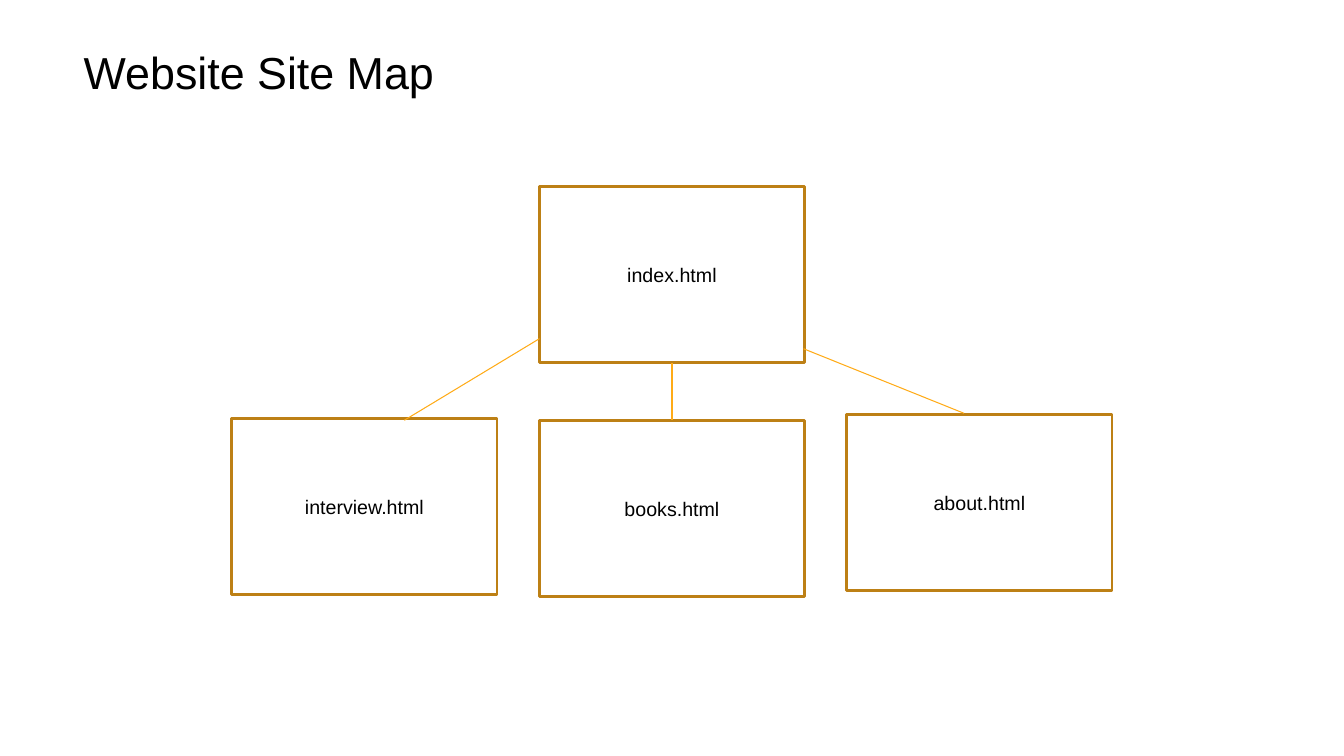
from pptx import Presentation
from pptx.dml.color import RGBColor
from pptx.enum.shapes import MSO_CONNECTOR as Link, MSO_SHAPE as Form
from pptx.enum.text import MSO_ANCHOR as Anchor, PP_ALIGN as Align
from pptx.oxml.ns import qn
from pptx.util import Inches, Pt
from lxml.etree import SubElement

BLACK = RGBColor(0x00, 0x00, 0x00)
WHITE = RGBColor(0xFF, 0xFF, 0xFF)
BROWN = RGBColor(0xBD, 0x80, 0x15)
AMBER = RGBColor(0xFF, 0xAB, 0x17)


class Map:
    font = "Arial"
    wide, high = 2.63, 1.75

    def __init__(self, slide):
        self.slide = slide

    def label(self, frame, text, size, align):
        frame.text = text
        frame.word_wrap = True
        frame.vertical_anchor = Anchor.MIDDLE
        line = frame.paragraphs[0]
        line.alignment = align
        font = line.runs[0].font
        font.name, font.size = self.font, Pt(size)
        font.color.rgb = BLACK

    def title(self, text, left, top, width, height):
        head = self.slide.shapes.title
        head.left, head.top = Inches(left), Inches(top)
        head.width, head.height = Inches(width), Inches(height)
        self.label(head.text_frame, text, 32, Align.LEFT)

    def page(self, name, left, top):
        box = self.slide.shapes.add_shape(
            Form.RECTANGLE, Inches(left), Inches(top),
            Inches(self.wide), Inches(self.high))
        box.shadow.inherit = False
        box.fill.solid()
        box.fill.fore_color.rgb = WHITE
        box.line.color.rgb = BROWN
        box.line.width = Pt(2)
        self.label(box.text_frame, name, 14, Align.CENTER)
        return box

    def link(self, start=(0, 0), end=(0, 0)):
        line = self.slide.shapes.add_connector(
            Link.STRAIGHT, *map(Inches, start + end))
        line.line.color.rgb = AMBER
        line.line.width = Pt(0.75)
        SubElement(line._element.spPr, qn("a:effectLst"))
        return line


def main():
    deck = Presentation()
    deck.slide_width, deck.slide_height = Inches(13.33), Inches(7.5)
    site = Map(deck.slides.add_slide(deck.slide_layouts[5]))

    # Title
    site.title("Website Site Map", 0.73, 0.39, 4.39, 0.64)

    # Pages: home above a row of three
    left, step = 2.3, 3.05
    home = site.page("index.html", left + step, 1.85)
    row = [("interview.html", 4.15), ("books.html", 4.17), ("about.html", 4.11)]
    pages = [site.page(name, left + i * step, top)
             for i, (name, top) in enumerate(row)]

    # Links from home to each page
    site.link((5.35, 3.36), (4.01, 4.17))
    site.link((9.56, 4.1), (7.97, 3.46))
    stem = site.link()
    stem.begin_connect(home, 2)
    stem.end_connect(pages[1], 0)

    deck.save("out.pptx")


if __name__ == "__main__":
    main()
